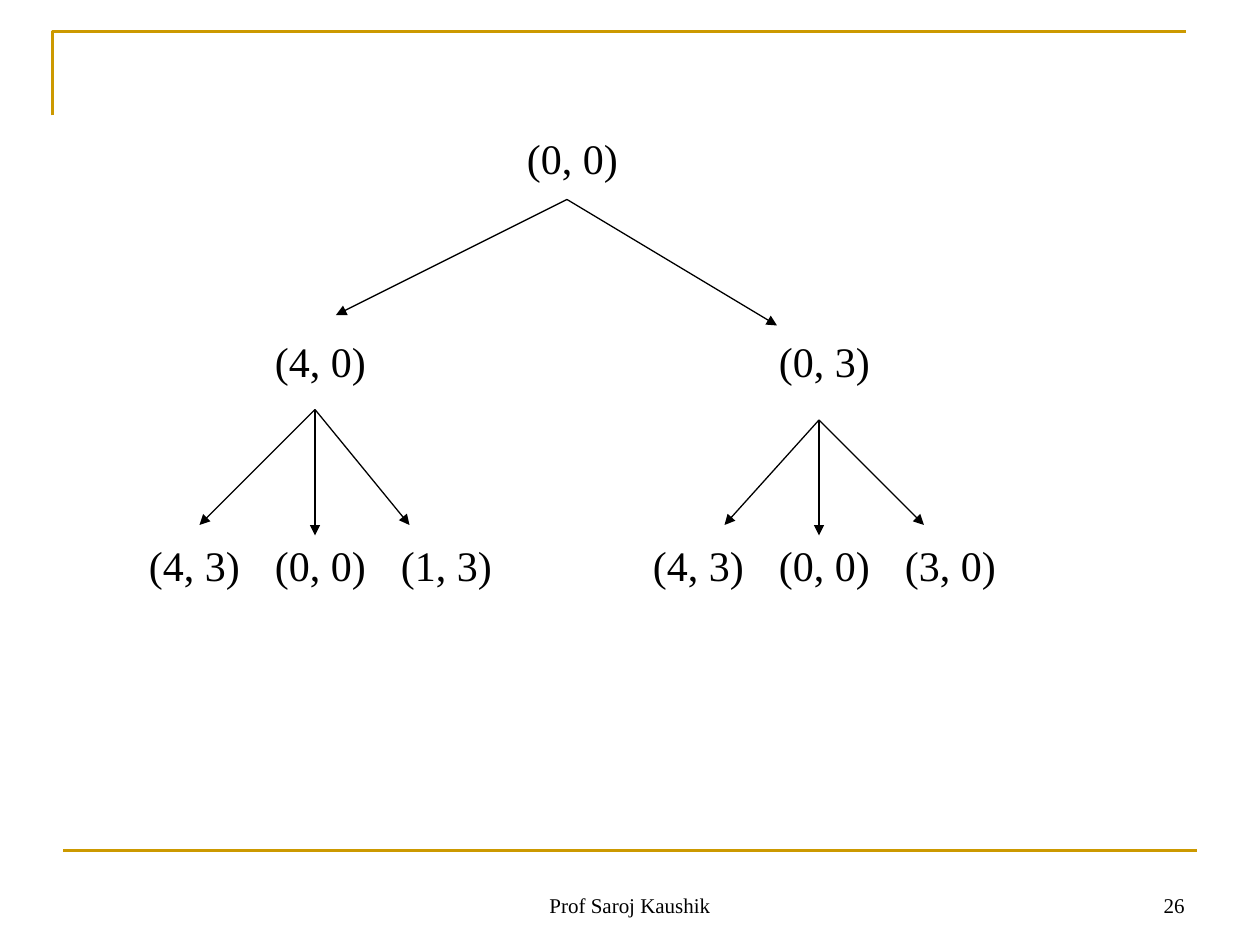
from lxml import etree
from pptx import Presentation
from pptx.dml.color import RGBColor
from pptx.enum.shapes import MSO_CONNECTOR
from pptx.enum.text import MSO_ANCHOR, PP_ALIGN
from pptx.oxml.ns import qn
from pptx.util import Inches, Pt

STRAIGHT = MSO_CONNECTOR.STRAIGHT
TOP, BOTTOM = MSO_ANCHOR.TOP, MSO_ANCHOR.BOTTOM
LEFT, CENTER, RIGHT = PP_ALIGN.LEFT, PP_ALIGN.CENTER, PP_ALIGN.RIGHT
FONT, BLACK, GOLD = "Times New Roman", "000000", "CC9900"

deck = Presentation()
deck.slide_width, deck.slide_height = Inches(10), Inches(7.5)
page = deck.slides.add_slide(deck.slide_layouts[6])

# Grid of 120 columns by 90 rows, square cells
CELL = deck.slide_width // 120


def add_line(start, end, color, width):
    line = page.shapes.add_connector(STRAIGHT, *(CELL * n for n in start + end))
    line.line.color.rgb = RGBColor.from_string(color)
    line.line.width = Pt(width)
    etree.SubElement(line._element.spPr, qn("a:effectLst"))
    return line


def add_text(area, rows, size, align, anchor, gap=0, tab_stops=0):
    box = page.shapes.add_textbox(*(CELL * n for n in area))
    frame = box.text_frame
    frame.word_wrap = True
    frame.vertical_anchor = anchor
    for index, row in enumerate(rows):
        para = frame.add_paragraph() if index else frame.paragraphs[0]
        para.alignment = align
        if index:
            para.space_before = Pt(gap)
        if tab_stops:
            tabs = etree.SubElement(para._p.get_or_add_pPr(), qn("a:tabLst"))
            for stop in range(1, tab_stops + 1):
                etree.SubElement(tabs, qn("a:tab"), pos=str(Inches(stop)), algn="l")
        span = para.add_run()
        span.text = row
        span.font.name = FONT
        span.font.size = Pt(size)
        span.font.color.rgb = RGBColor.from_string(BLACK)


# Gold frame: corner at the top, rule above the footer
builder = page.shapes.build_freeform(5, 11, scale=CELL)
builder.add_line_segments([(5, 3), (113, 3)], close=False)
corner = builder.convert_to_shape()
corner.shadow.inherit = False
corner.fill.background()
corner.line.color.rgb = RGBColor.from_string(GOLD)
corner.line.width = Pt(1.5)
add_line((6, 81), (114, 81), GOLD, 1.5)

# Footer and slide number
add_text((41, 82, 38, 6), ["Prof Saroj Kaushik"], 12, CENTER, BOTTOM)
add_text((86, 82, 28, 6), ["26"], 12, RIGHT, BOTTOM)

# Tree states, one level per paragraph, set on one-inch tabs
levels = [
    "\t\t\t(0, 0)",
    "\t(4, 0)\t\t\t\t(0, 3)",
    "(4, 3)\t(0, 0)\t(1, 3)\t\t(4, 3)\t(0, 0)\t(3, 0)",
]
add_text((13, 12, 97, 54), levels, 24, LEFT, TOP, gap=87.6, tab_stops=7)

# Arrows from each parent state to its children
branches = {
    (54, 19): [(32, 30), (74, 31)],
    (30, 39): [(19, 50), (30, 51), (39, 50)],
    (78, 40): [(69, 50), (78, 51), (88, 50)],
}
for parent, children in branches.items():
    for child in children:
        arrow = add_line(parent, child, BLACK, 0.75)
        etree.SubElement(arrow.line._get_or_add_ln(), qn("a:tailEnd"), type="triangle")

deck.save("out.pptx")
